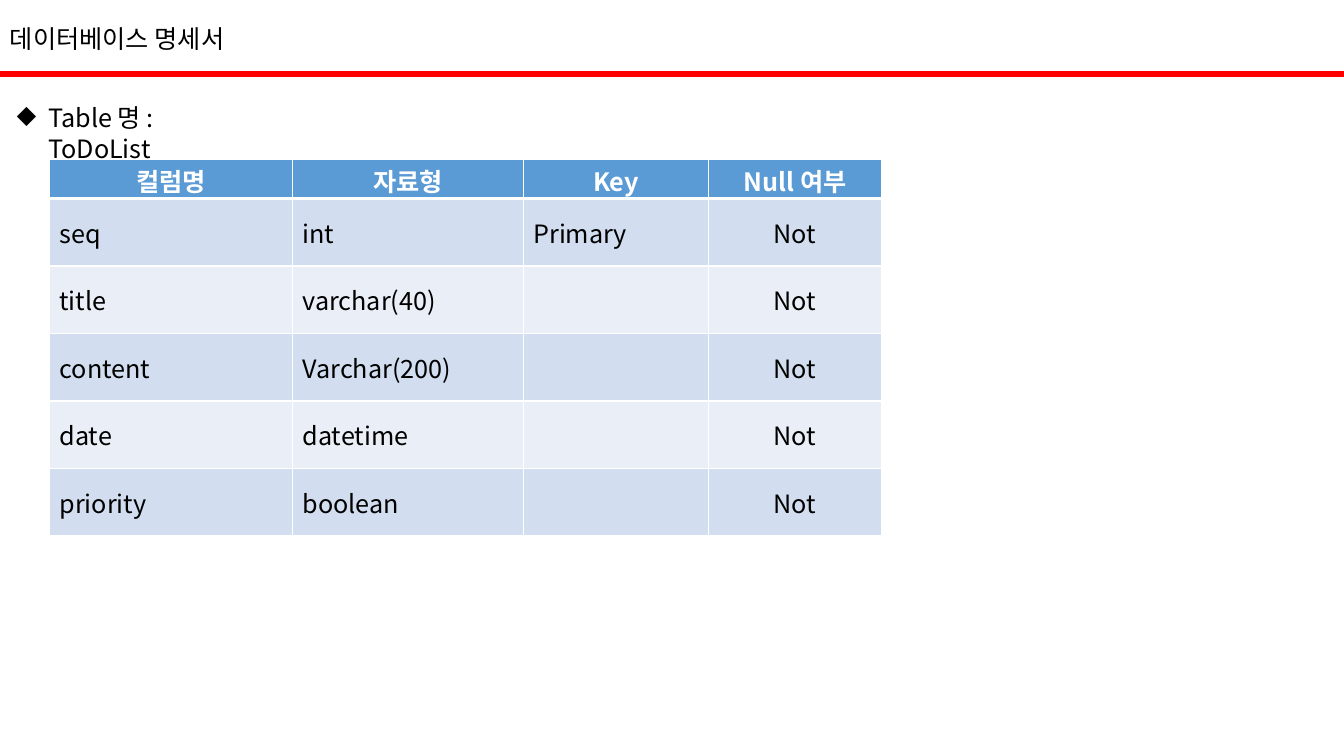
import pptx
import pptx.util
import pptx.dml.color
import pptx.enum.shapes
import pptx.enum.text
import pptx.oxml
import pptx.oxml.ns
from lxml import etree

Inches = pptx.util.Inches
FONT = "Noto Sans CJK KR"
COLORS = {
    "rule": "FF0000",
    "text": "000000",
    "border": "FFFFFF",
    "header_text": "FFFFFF",
    "header": "5B9BD5",
    "band_dark": "D2DEEF",
    "band_light": "EAEFF7",
}
COLUMN_WIDTHS = [2.41, 2.29, 1.84, 1.71]
HEADER_HEIGHT, ROW_HEIGHT = 0.39, 0.67
ROWS = [
    ["컬럼명", "자료형", "Key", "Null 여부"],
    ["seq", "int", "Primary", "Not"],
    ["title", "varchar(40)", "", "Not"],
    ["content", "Varchar(200)", "", "Not"],
    ["date", "datetime", "", "Not"],
    ["priority", "boolean", "", "Not"],
]


def color(name):
    return pptx.dml.color.RGBColor.from_string(COLORS[name])


def apply_format(target, values):
    for name, value in values.items():
        setattr(target, name, value)


def write_text(paragraph, text, color_name="text", bold=False):
    run = paragraph.add_run()
    run.text = text
    apply_format(run.font, {"name": FONT, "size": pptx.util.Pt(18), "bold": bold})
    run.font.color.rgb = color(color_name)
    east_asian = etree.SubElement(run.font._element, pptx.oxml.ns.qn("a:ea"))
    east_asian.set("typeface", FONT)


def add_label(slide, box, text, frame_format):
    shape = slide.shapes.add_textbox(*map(Inches, box))
    apply_format(shape.text_frame, frame_format)
    paragraph = shape.text_frame.paragraphs[0]
    write_text(paragraph, text)
    return paragraph


def add_heading(slide, box):
    left, top, width, height = box
    # Red rule under the heading
    rule = slide.shapes.add_shape(
        pptx.enum.shapes.MSO_SHAPE.RECTANGLE,
        Inches(left), Inches(top + 0.53), Inches(width), Inches(0.05))
    rule.shadow.inherit = False
    rule.fill.solid()
    rule.fill.fore_color.rgb = color("rule")
    rule.line.color.rgb = color("rule")
    rule.line.width = pptx.util.Pt(1)
    # Heading text
    add_label(slide, (left, top, 2.56, height), "데이터베이스 명세서",
              {"word_wrap": False})


def add_table_name(slide, box):
    paragraph = add_label(slide, box, "Table 명 : ToDoList",
                          {"word_wrap": True, "margin_right": Inches(0.6)})
    # Diamond bullet with a hanging indent
    properties = paragraph._p.get_or_add_pPr()
    indent = Inches(0.31)
    properties.set("marL", str(indent))
    properties.set("indent", str(-indent))
    bullet = etree.SubElement(properties, pptx.oxml.ns.qn("a:buChar"))
    bullet.set("char", "◆")


def set_borders(cell, widths):
    properties = cell._tc.get_or_add_tcPr()
    for index, (side, points) in enumerate(widths.items()):
        border = pptx.oxml.parse_xml(
            f'<a:{side} {pptx.oxml.ns.nsdecls("a")} w="{pptx.util.Pt(points)}">'
            f'<a:solidFill><a:srgbClr val="{COLORS["border"]}"/></a:solidFill>'
            f'</a:{side}>')
        properties.insert(index, border)


def format_cell(cell, text, row, column):
    header = row == 0
    fill_name = "header" if header else "band_dark" if row % 2 else "band_light"
    cell.fill.solid()
    cell.fill.fore_color.rgb = color(fill_name)
    cell.vertical_anchor = pptx.enum.text.MSO_ANCHOR.MIDDLE
    if header:
        apply_format(cell, {"margin_top": Inches(0.03), "margin_bottom": 0})
    set_borders(cell, {"lnL": 1, "lnR": 1,
                       "lnT": 3 if row == 1 else 1, "lnB": 3 if header else 1})
    paragraph = cell.text_frame.paragraphs[0]
    if header or column == len(COLUMN_WIDTHS) - 1:
        paragraph.alignment = pptx.enum.text.PP_ALIGN.CENTER
    if text:
        write_text(paragraph, text, "header_text" if header else "text", header)


def add_column_table(slide, box):
    shape = slide.shapes.add_table(len(ROWS), len(COLUMN_WIDTHS), *map(Inches, box))
    table = shape.table
    for column, width in zip(table.columns, COLUMN_WIDTHS):
        column.width = Inches(width)
    for row, texts in enumerate(ROWS):
        table.rows[row].height = Inches(ROW_HEIGHT if row else HEADER_HEIGHT)
        for column, text in enumerate(texts):
            format_cell(table.cell(row, column), text, row, column)


def main():
    presentation = pptx.Presentation()
    apply_format(presentation, {"slide_width": Inches(13.33),
                                "slide_height": Inches(7.5)})
    slide = presentation.slides.add_slide(presentation.slide_layouts[6])
    add_heading(slide, (0, 0.18, 13.33, 0.4))
    add_table_name(slide, (0.07, 0.97, 2.65, 0.4))
    table_height = HEADER_HEIGHT + ROW_HEIGHT * (len(ROWS) - 1)
    add_column_table(slide, (0.49, 1.58, sum(COLUMN_WIDTHS), table_height))
    presentation.save("out.pptx")


if __name__ == "__main__":
    main()
